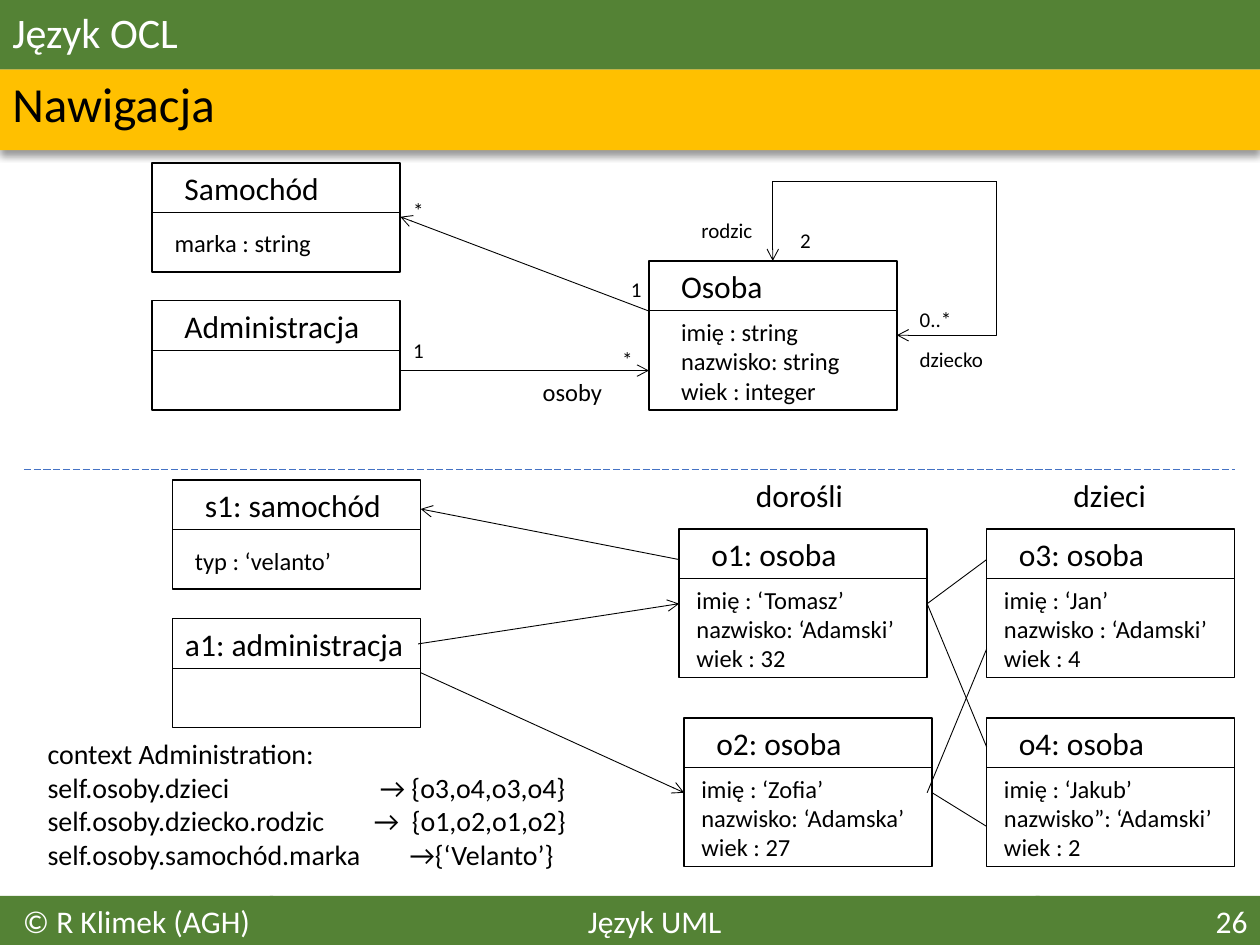
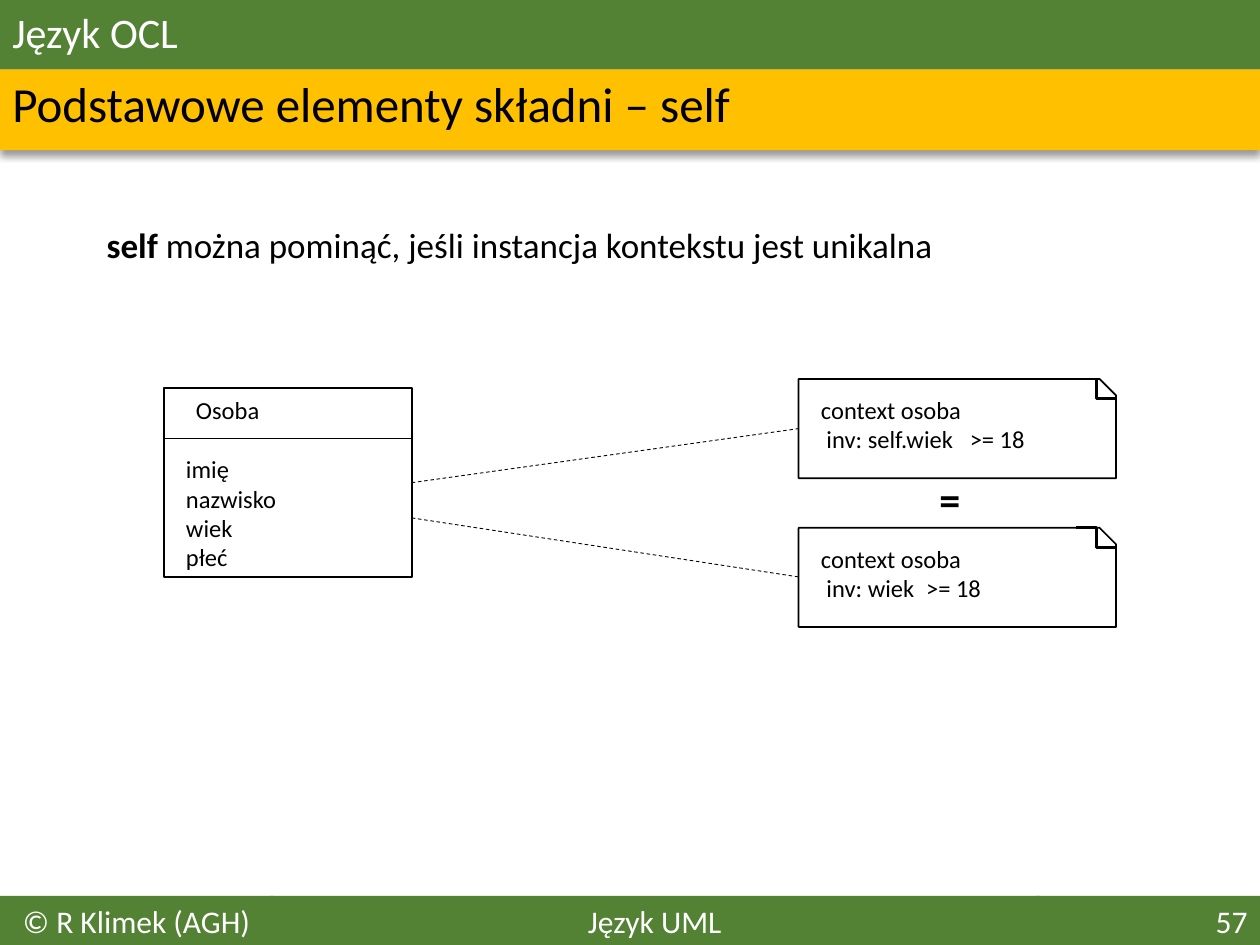
from pptx import Presentation
from pptx.dml.color import RGBColor
from pptx.enum.dml import MSO_LINE
from pptx.enum.shapes import MSO_CONNECTOR as CONN, MSO_SHAPE as SHAPE
from pptx.enum.text import MSO_ANCHOR as ANCHOR, MSO_AUTO_SIZE as AUTO, PP_ALIGN as ALIGN
from pptx.oxml.ns import qn
from pptx.util import Cm, Pt
from lxml import etree

GREEN, AMBER, BLUE = "548235", "FFC000", "4472C4"
BLACK, WHITE = "000000", "FFFFFF"
FONT = "Calibri"
WIDTH, HEIGHT = 25.4, 19.05
CLASS_W, TITLE_H = 5, 1


def rgb(color):
    """Turn a hex string into a colour."""
    return RGBColor.from_string(color)


def sub(parent, tag, **attrs):
    """Append a DrawingML element."""
    return etree.SubElement(parent, qn(tag), {k: str(v) for k, v in attrs.items()})


def add_run(p, text, size, color=BLACK, bold=None):
    """Add one formatted run to a paragraph."""
    r = p.add_run()
    r.text = text
    for name, value in {"name": FONT, "size": Pt(size), "bold": bold}.items():
        setattr(r.font, name, value)
    r.font.color.rgb = rgb(color)


def text(s, x, y, w, lines, size, bold=None, wrap=False, tabs=()):
    """Add a box as tall as its lines; tabs holds one stop per line."""
    lines = lines.split("\n")
    h = 0.25 + len(lines) * size * 2.54 / 60
    tf = s.shapes.add_textbox(Cm(x), Cm(y), Cm(w), Cm(h)).text_frame
    tf.word_wrap = wrap
    tf.auto_size = AUTO.SHAPE_TO_FIT_TEXT
    for i, line in enumerate(lines):
        p = tf.add_paragraph() if i else tf.paragraphs[0]
        if tabs and tabs[i]:
            stops = sub(p._p.get_or_add_pPr(), "a:tabLst")
            sub(stops, "a:tab", pos=Cm(tabs[i]), algn="l")
        add_run(p, line, size, bold=bold)


def box(s, x, y, w, h, fill=None, line=None, shape=SHAPE.RECTANGLE):
    """Add a preset shape without shadow."""
    sp = s.shapes.add_shape(shape, Cm(x), Cm(y), Cm(w), Cm(h))
    sp.shadow.inherit = False
    if fill:
        sp.fill.solid()
        sp.fill.fore_color.rgb = rgb(fill)
    else:
        sp.fill.background()
    if line:
        sp.line.color.rgb = rgb(line)
        sp.line.width = Pt(1)
    else:
        sp.line.fill.background()
    return sp


def link(s, start, end, head=False, tail=False, kind=CONN.STRAIGHT,
         preset=None, color=BLACK, width=0.5, dash=None):
    """Draw a connector between two points, with optional open arrowheads."""
    c = s.shapes.add_connector(kind, *(Cm(v) for v in (*start, *end)))
    c.line.color.rgb = rgb(color)
    c.line.width = Pt(width)
    if dash:
        c.line.dash_style = dash
    sp_pr = c.element.spPr
    if preset:
        sp_pr.find(qn("a:prstGeom")).set("prst", preset)
    for tag, wanted in (("a:headEnd", head), ("a:tailEnd", tail)):
        if wanted:
            sub(sp_pr.find(qn("a:ln")), tag, type="arrow")
    sub(sp_pr, "a:effectLst")


def band(s, x, y, w, h, label, size, fill, color, align=ALIGN.LEFT,
         anchor=ANCHOR.TOP, spacing=None):
    """Add a filled band with a label."""
    sp = box(s, x, y, w, h, fill)
    tf = sp.text_frame
    tf.word_wrap = True
    tf.vertical_anchor = anchor
    p = tf.paragraphs[0]
    p.alignment = align
    p.line_spacing = spacing
    add_run(p, label, size, color)


def add_slide(prs, heading, number):
    """Add a slide with the heading bands and the footer."""
    s = prs.slides.add_slide(prs.slide_layouts[6])
    amber = box(s, 0, 1.4, WIDTH, 1.63, AMBER)
    effects = amber.element.spPr.find(qn("a:effectLst"))
    shadow = sub(effects, "a:outerShdw", blurRad=Pt(4), dist=Pt(3),
                 dir=5400000, algn="t", rotWithShape=0)
    sub(sub(shadow, "a:srgbClr", val=BLACK), "a:alpha", val=40000)
    top = {"anchor": ANCHOR.MIDDLE, "spacing": 0.9}
    band(s, 0, 1.4, WIDTH, 1.5, heading, 28, None, BLACK, **top)
    band(s, 0, 0, WIDTH, 1.4, "Język OCL", 24, GREEN, WHITE, **top)
    for x, w, label, align in (
            (5.44, 15.52, "Język UML", ALIGN.CENTER),
            (0, 5.51, "© R Klimek (AGH)", ALIGN.CENTER),
            (20.88, 4.52, str(number), ALIGN.RIGHT)):
        band(s, x, 18.06, w, 1, label, 18, GREEN, WHITE, align)
    return s


def class_box(s, x, y, h, title, title_w, body="", body_w=0,
              title_dx=0.4, body_dx=0.2, body_dy=1.2, size=18):
    """Draw a UML box: frame, divider, title and attributes."""
    box(s, x, y, CLASS_W, h, line=BLACK)
    link(s, (x, y + TITLE_H), (x + CLASS_W, y + TITLE_H))
    text(s, x + title_dx, y, title_w, title, size)
    if body:
        text(s, x + body_dx, y + body_dy, body_w, body, 14)


def class_diagram(s, x, y):
    """Draw the three classes and their associations."""
    class_box(s, x, y, 2.2, "Samochód", 3.25, "marka : string", 3.28)
    class_box(s, x + 10.01, y + 1.98, 3, "Osoba", 2.16,
              "imię : string\nnazwisko: string\nwiek : integer", 3.73,
              body_dx=0.4, body_dy=1)
    class_box(s, x, y + 2.78, 2.2, "Administracja", 4.06)
    bent = {"kind": CONN.ELBOW, "preset": "bentConnector2"}
    for x1, y1, x2, y2, style in (
            (5, 1.09, 10.01, 2.99, {"head": True}),
            (5, 4.19, 10.01, 4.19, {"tail": True}),
            (17.02, 0.38, 12.51, 1.98, {"tail": True, **bent}),
            (15.01, 3.48, 17.02, 0.38, {"head": True, **bent})):
        link(s, (x + x1, y + y1), (x + x2, y + y2), **style)
    for dx, dy, w, label, size in (
            (15.22, 3.58, 1.8, "dziecko", 12), (15.22, 2.78, 1.17, "0..*", 12),
            (12.81, 1.19, 0.74, "2", 12), (10.82, 0.99, 1.55, "rodzic", 12),
            (5.01, 0.58, 0.74, "*", 12), (9.4, 2.18, 0.74, "1", 12),
            (5.01, 3.4, 0.74, "1", 12), (9.22, 3.58, 0.74, "*", 12),
            (7.62, 4.19, 1.73, "osoby", 14)):
        text(s, x + dx, y + dy, w, label, size)


def object_diagram(s, x, y):
    """Draw the objects, their column headings and links."""
    class_box(s, x, y, 2.2, "s1: samochód", 4.09, "typ : ‘velanto’", 3.8)
    class_box(s, x, y + 2.79, 2.2, "a1: administracja", 4.95, title_dx=0)
    for dx, dy, title, body, w in (
            (10.21, 0.98, "o1", "imię : ‘Tomasz’\nnazwisko: ‘Adamski’\nwiek : 32", 4.52),
            (16.41, 0.98, "o3", "imię : ‘Jan’\nnazwisko : ‘Adamski’\nwiek : 4", 4.65),
            (10.31, 4.79, "o2", "imię : ‘Zofia’\nnazwisko: ‘Adamska’\nwiek : 27", 4.62),
            (16.41, 4.79, "o4", "imię : ‘Jakub’\nnazwisko”: ‘Adamski’\nwiek : 2", 4.72)):
        class_box(s, x + dx, y + dy, 3, f"{title}: osoba", 3.07, body, w,
                  body_dx=0.1, body_dy=1)
    text(s, x + 11.51, y - 0.21, 2.29, "dorośli", 18)
    text(s, x + 17.91, y - 0.21, 1.98, "dzieci", 18)
    for x1, y1, x2, y2, arrow in (
            (10.21, 1.6, 5, 0.58, True), (4.95, 3.3, 10.21, 2.49, True),
            (5, 3.88, 10.31, 6.3, True), (15.21, 2.49, 16.41, 1.6, False),
            (15.21, 2.49, 16.41, 5.38, False), (15.21, 6.3, 16.41, 3.4, False),
            (15.31, 6.3, 16.41, 6.98, False)):
        link(s, (x + x1, y + y1), (x + x2, y + y2), tail=arrow)


def note(s, x, y, lines, tab):
    """Draw a UML note with a folded corner."""
    w, h, fold_w, fold_h = 6.4, 2, 0.8, 0.4
    sp = box(s, x, y, w, h, WHITE, BLACK, SHAPE.SNIP_1_RECTANGLE)
    sp.adjustments[0] = 0.167
    link(s, (x + w - fold_w, y), (x + w, y + fold_h), kind=CONN.ELBOW, width=1.5)
    text(s, x + 0.2, y + 0.2, 5.2, lines, 14, wrap=True, tabs=(None, tab))


def navigation_slide(prs):
    """Build the slide on navigation."""
    s = add_slide(prs, "Nawigacja", 26)
    class_diagram(s, 3.07, 3.28)
    link(s, (0.48, 9.47), (24.89, 9.47), color=BLUE, dash=MSO_LINE.LONG_DASH)
    object_diagram(s, 3.48, 9.68)
    text(s, 0.71, 14.73, 11.13,
         "context Administration:\n"
         "self.osoby.dzieci\t→ {o3,o4,o3,o4}\n"
         "self.osoby.dziecko.rodzic\t→  {o1,o2,o1,o2}\n"
         "self.osoby.samochód.marka\t→{‘Velanto’}",
         16, wrap=True, tabs=(None, 6.7, 6.58, 7.3))


def self_slide(prs):
    """Build the slide on leaving out self."""
    s = add_slide(prs, "Podstawowe elementy składni – self", 57)
    tf = s.shapes.add_textbox(Cm(1.27), Cm(4.47), Cm(22.86), Cm(12.45)).text_frame
    tf.word_wrap = True
    p = tf.paragraphs[0]
    p.line_spacing = 0.9
    p._p.get_or_add_pPr().set("marL", str(Cm(0.63)))
    add_run(p, "self", 20, bold=True)
    add_run(p, " można pominąć, jeśli instancja kontekstu jest unikalna", 20)

    class_box(s, 3.3, 7.83, 3.8, "Osoba", 1.8,
              "imię\nnazwisko\nwiek\npłeć", 2.34, size=14)
    note(s, 16.1, 7.64, "context osoba\n inv: self.wiek\t>= 18", 3)
    note(s, 16.1, 10.64, "context osoba\n inv: wiek\t>= 18", 2.12)
    for y1, y2 in ((9.73, 8.64), (10.44, 11.63)):
        link(s, (8.3, y1), (16.1, y2), dash=MSO_LINE.DASH)
    text(s, 18.69, 9.42, 0.89, "=", 24, bold=True, wrap=True)


prs = Presentation()
prs.slide_width, prs.slide_height = Cm(WIDTH), Cm(HEIGHT)
navigation_slide(prs)
self_slide(prs)
prs.save("out.pptx")
